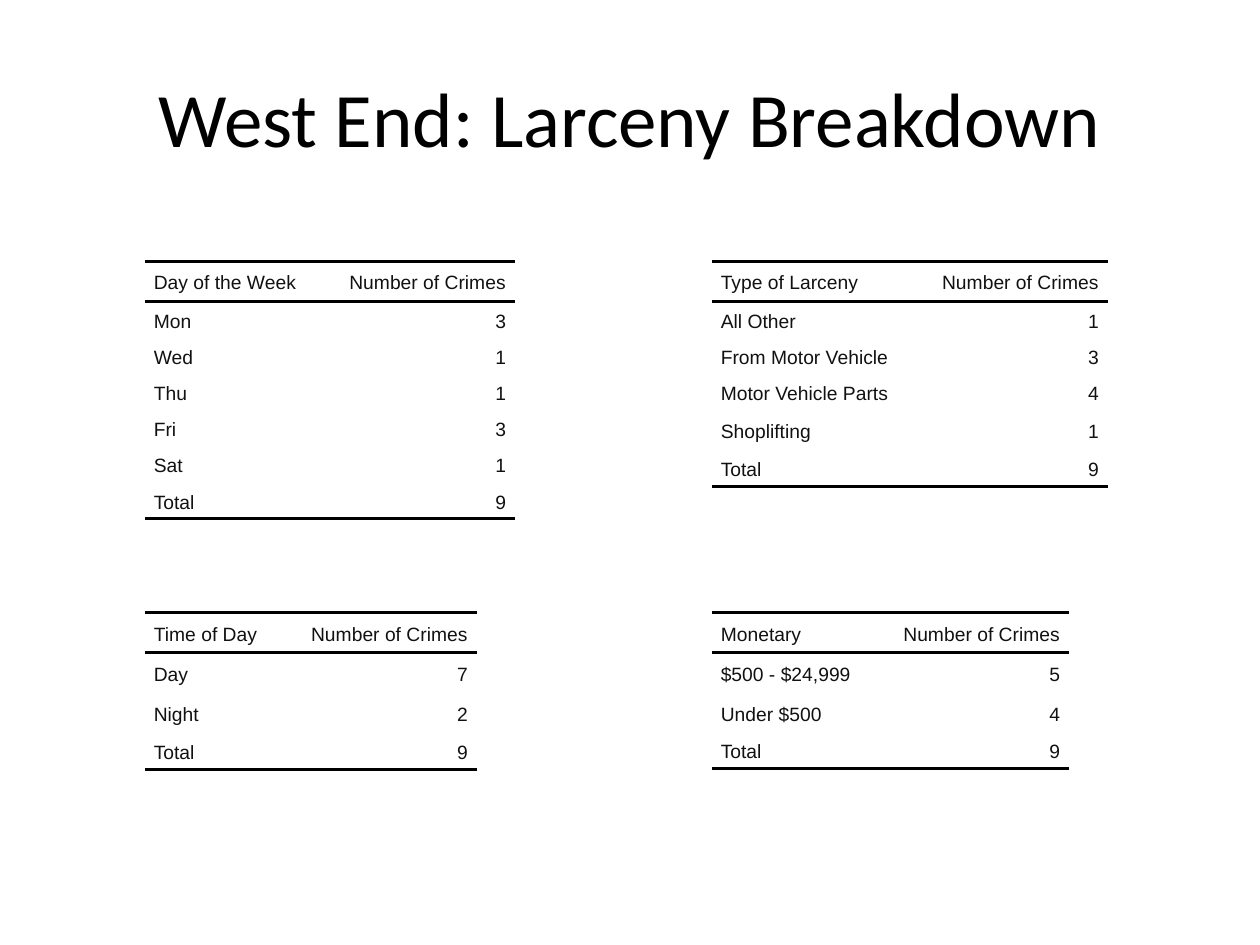
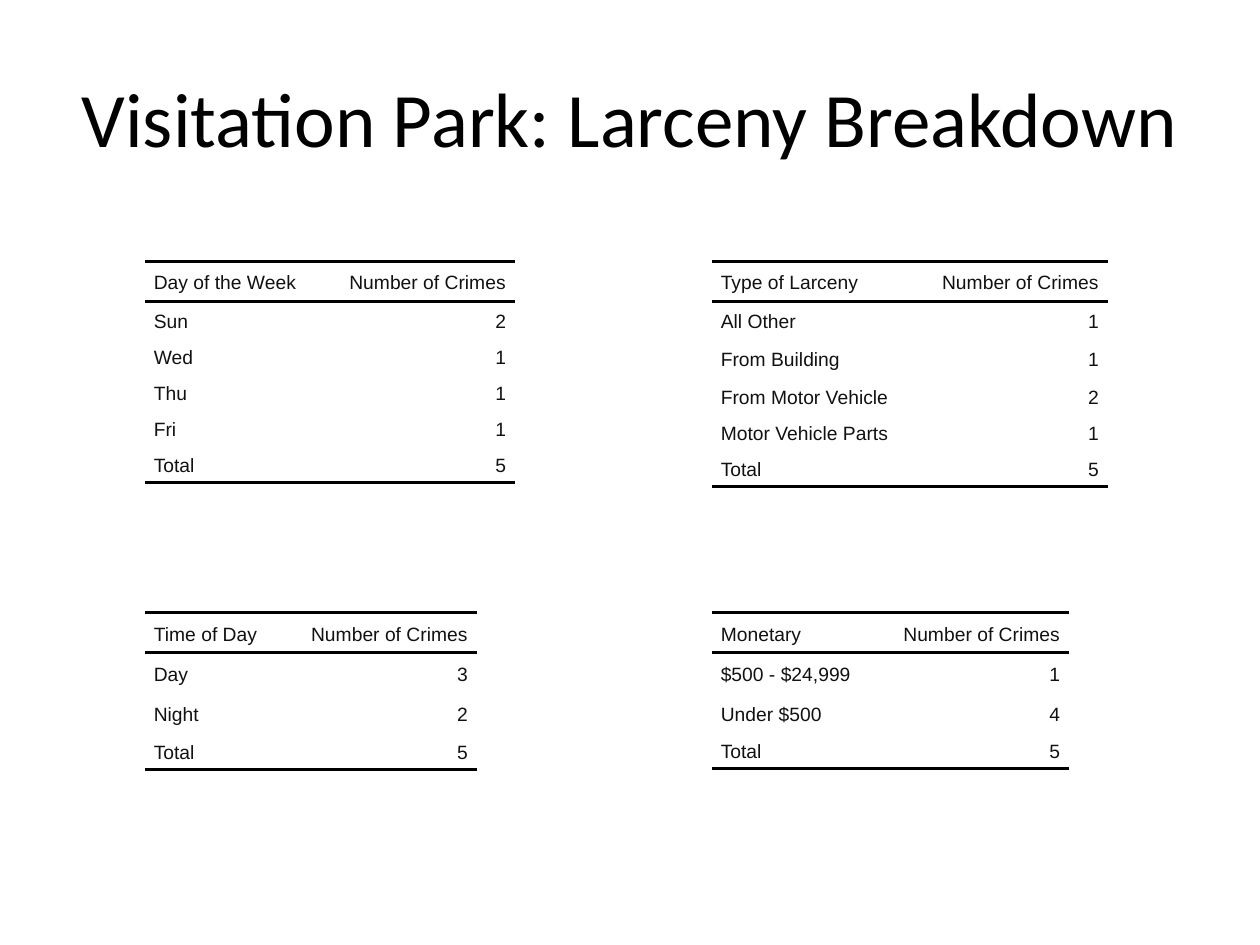
"""Build two slides of larceny breakdown tables, one slide per neighbourhood."""
from dataclasses import dataclass

from lxml.etree import SubElement
from pptx import Presentation
from pptx.dml.color import RGBColor
from pptx.enum.text import MSO_ANCHOR, PP_ALIGN
from pptx.oxml.ns import qn
from pptx.slide import Slide
from pptx.table import _Cell
from pptx.text.text import TextFrame
from pptx.util import Cm, Pt

COLORS = {"title": "000000", "rule": "000000", "body": "111111"}
TITLE_FONT, BODY_FONT = "Calibri", "Arial"
PLAIN_TABLE_STYLE = "{2D5ABB26-0587-4C30-8999-92F81FD0307C}"
COUNT_HEADING = "Number of Crimes"
COUNT_WIDTH = 3.86
HEADER_HEIGHT, ROW_HEIGHT = 0.81, 0.73
TALL_ROWS = {"Shoplifting": 0.81, "From Building": 0.81, "Day": 0.81,
             "Night": 0.81, "$500 - $24,999": 0.81, "Under $500": 0.79}


@dataclass(frozen=True)
class TableLayout:
    """Heading, position and label column width in centimetres."""
    heading: str
    left: float
    top: float
    label_width: float


@dataclass(frozen=True)
class Breakdown:
    """A neighbourhood and its counts, one dict for each table layout."""
    neighbourhood: str
    counts: tuple[dict[str, int], ...]


LEFT, RIGHT = 2.92, 14.35
UPPER, LOWER = 5.27, 12.35
LAYOUTS = (
    TableLayout("Day of the Week", LEFT, UPPER, 3.6),
    TableLayout("Time of Day", LEFT, LOWER, 2.83),
    TableLayout("Type of Larceny", RIGHT, UPPER, 4.12),
    TableLayout("Monetary", RIGHT, LOWER, 3.34),
)
BREAKDOWNS = (
    Breakdown("West End", (
        {"Mon": 3, "Wed": 1, "Thu": 1, "Fri": 3, "Sat": 1},
        {"Day": 7, "Night": 2},
        {"All Other": 1, "From Motor Vehicle": 3, "Motor Vehicle Parts": 4, "Shoplifting": 1},
        {"$500 - $24,999": 5, "Under $500": 4},
    )),
    Breakdown("Visitation Park", (
        {"Sun": 2, "Wed": 1, "Thu": 1, "Fri": 1},
        {"Day": 3, "Night": 2},
        {"All Other": 1, "From Building": 1, "From Motor Vehicle": 2, "Motor Vehicle Parts": 1},
        {"$500 - $24,999": 1, "Under $500": 4},
    )),
)


def write_text(text_frame: TextFrame, text: str, font_name: str, size: int,
               color: str, alignment: PP_ALIGN) -> None:
    """Set a single paragraph and format its run."""
    text_frame.text = text
    paragraph = text_frame.paragraphs[0]
    paragraph.alignment = alignment
    font = paragraph.runs[0].font
    font.name, font.size = font_name, Pt(size)
    font.color.rgb = RGBColor.from_string(color)


def add_title(slide: Slide, title: str) -> None:
    """Draw the slide title."""
    text_frame = slide.shapes.add_textbox(Cm(1.27), Cm(0.76), Cm(22.86), Cm(3.18)).text_frame
    text_frame.word_wrap = True
    text_frame.vertical_anchor = MSO_ANCHOR.MIDDLE
    write_text(text_frame, title, TITLE_FONT, 44, COLORS["title"], PP_ALIGN.CENTER)


def add_rules(cell: _Cell, sides: tuple[str, ...]) -> None:
    """Draw horizontal rules on the given sides of a cell."""
    properties = cell._tc.get_or_add_tcPr()
    for position, side in enumerate(sides):
        line = SubElement(properties, qn(f"a:{side}"), w=str(Pt(2)))
        fill = SubElement(line, qn("a:solidFill"))
        SubElement(fill, qn("a:srgbClr"), val=COLORS["rule"])
        properties.insert(position, line)


def fill_cell(cell: _Cell, text: str, alignment: PP_ALIGN, sides: tuple[str, ...]) -> None:
    """Write and style one table cell."""
    cell.margin_left = cell.margin_right = Cm(0.18)
    cell.margin_top, cell.margin_bottom = Cm(0.07), Cm(0)
    cell.vertical_anchor = MSO_ANCHOR.MIDDLE
    write_text(cell.text_frame, text, BODY_FONT, 11, COLORS["body"], alignment)
    cell.fill.background()
    add_rules(cell, sides)


def add_count_table(slide: Slide, layout: TableLayout, counts: dict[str, int]) -> None:
    """Draw a table of counts with its total in the last row."""
    rows = [(layout.heading, COUNT_HEADING), *counts.items(), ("Total", sum(counts.values()))]
    heights = [HEADER_HEIGHT] + [TALL_ROWS.get(label, ROW_HEIGHT) for label, _ in rows[1:]]
    widths = (layout.label_width, COUNT_WIDTH)
    table = slide.shapes.add_table(len(rows), 2, Cm(layout.left), Cm(layout.top),
                                   Cm(sum(widths)), Cm(sum(heights))).table
    table.first_row = table.horz_banding = False
    table._tbl.tblPr.find(qn("a:tableStyleId")).text = PLAIN_TABLE_STYLE
    for column, width in zip(table.columns, widths):
        column.width = Cm(width)
    ruled_sides = {0: ("lnT", "lnB"), len(rows) - 1: ("lnB",)}
    for index, (row, height, values) in enumerate(zip(table.rows, heights, rows)):
        row.height = Cm(height)
        for cell, value, alignment in zip(row.cells, values, (PP_ALIGN.LEFT, PP_ALIGN.RIGHT)):
            fill_cell(cell, str(value), alignment, ruled_sides.get(index, ()))


def main() -> None:
    """Create the presentation and save it."""
    presentation = Presentation()
    presentation.slide_width, presentation.slide_height = Cm(25.4), Cm(19.05)
    for breakdown in BREAKDOWNS:
        slide = presentation.slides.add_slide(presentation.slide_layouts[6])
        add_title(slide, f"{breakdown.neighbourhood}: Larceny Breakdown")
        for layout, counts in zip(LAYOUTS, breakdown.counts):
            add_count_table(slide, layout, counts)
    presentation.save("out.pptx")


if __name__ == "__main__":
    main()
